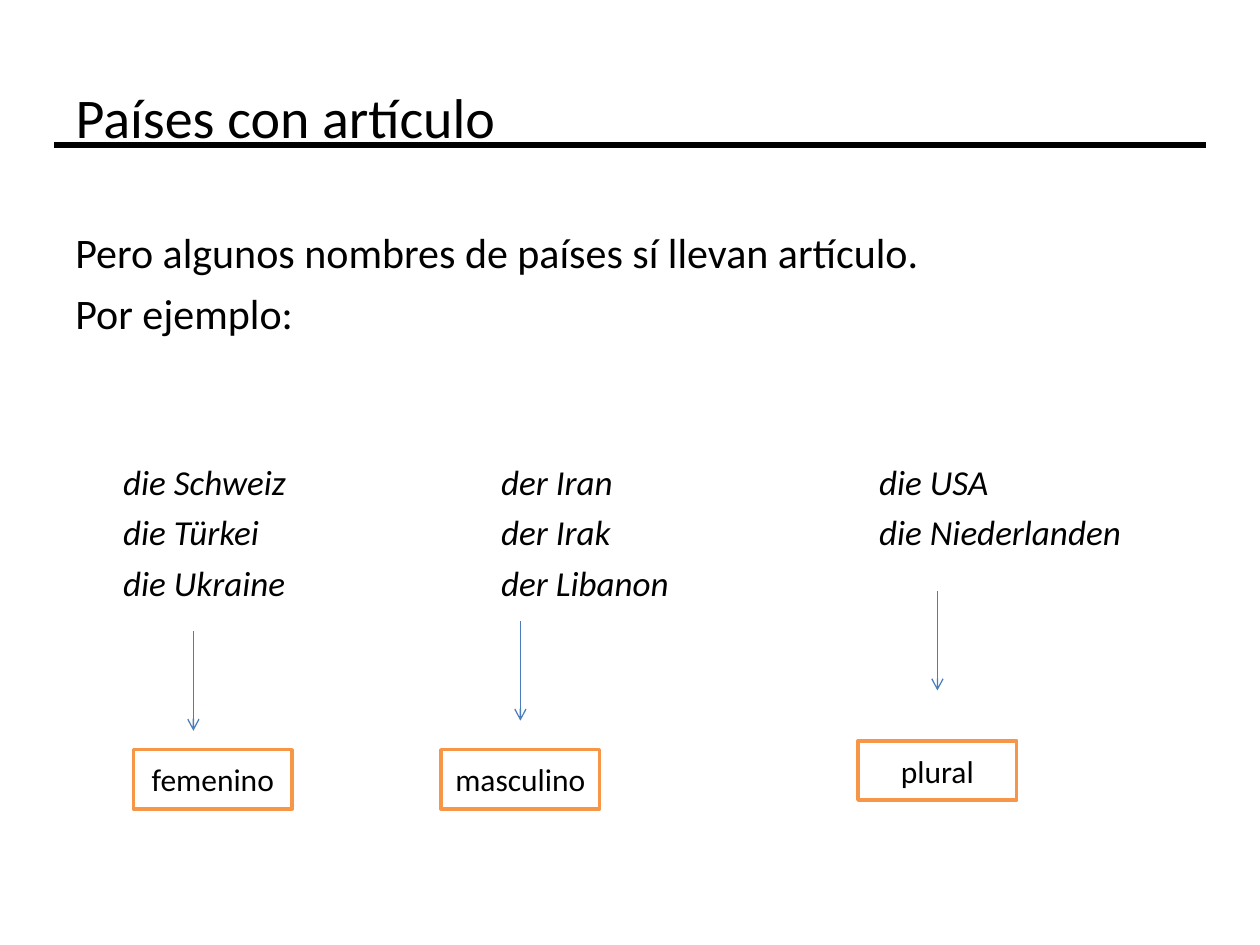
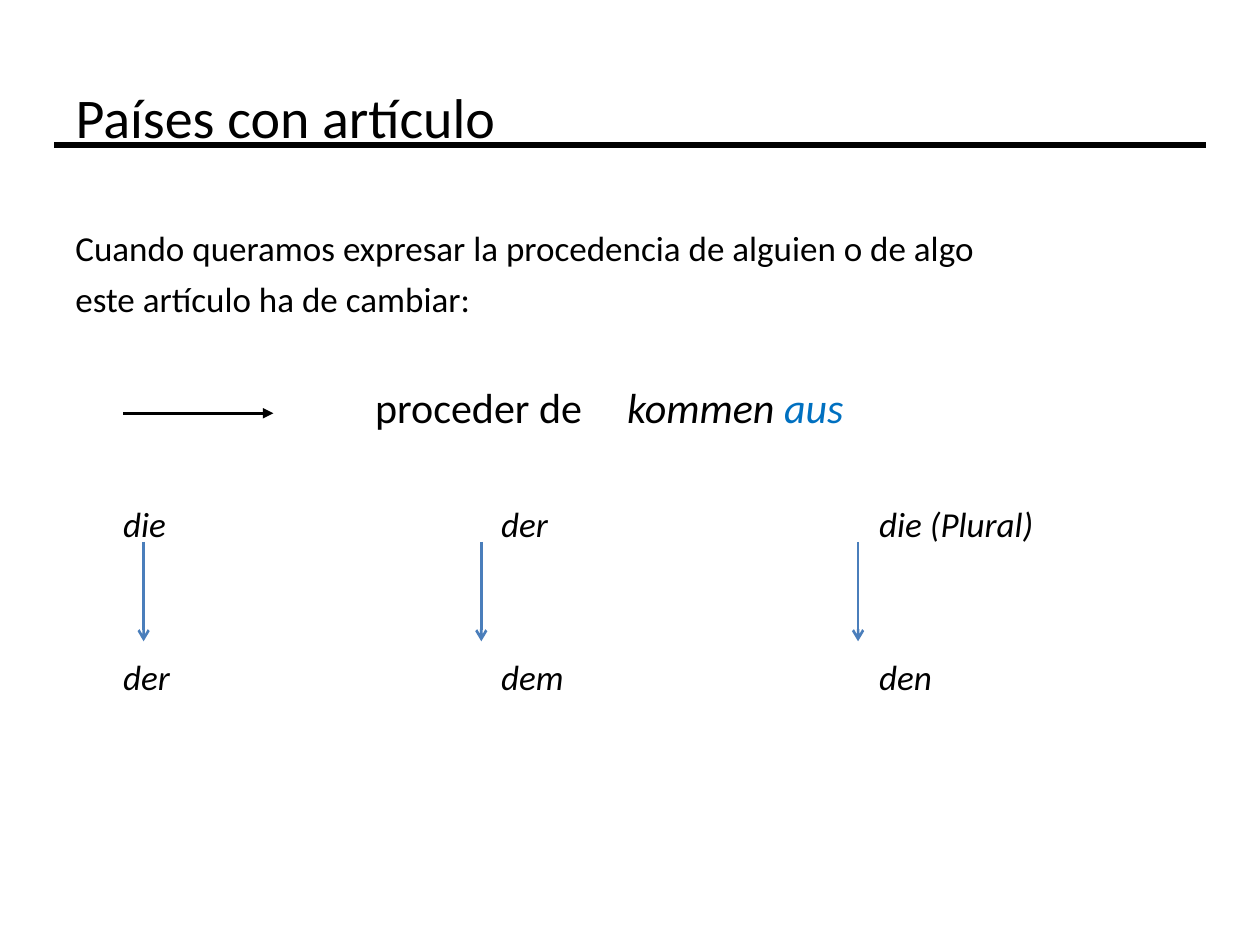
from lxml.etree import SubElement
from pptx import Presentation
from pptx.dml.color import RGBColor
from pptx.enum.shapes import MSO_CONNECTOR, MSO_SHAPE
from pptx.enum.text import MSO_ANCHOR, PP_ALIGN
from pptx.oxml.ns import qn
from pptx.util import Inches, Pt

HUES = {"ink": "000000", "paper": "FFFFFF", "blue": "4A7EBB",
        "box": "F79646", "mark": "0070C0"}
FONT = "Calibri"
COLS, ROWS = 100, 75
STOPS = (0.38, 2.38, 3.38, 4.38, 6.38)  # tab stops, inches
DROP = 7.9  # length of a downward arrow, in rows


def hue(name):
    return RGBColor.from_string(HUES[name])


class Deck:
    def __init__(self):
        self.prs = Presentation()
        self.prs.slide_width, self.prs.slide_height = Inches(10), Inches(7.5)
        self.slide = None

    def grid(self, *spots):
        """Turn alternating columns and rows into slide lengths."""
        units = (self.prs.slide_width / COLS, self.prs.slide_height / ROWS)
        return [round(n * units[i % 2]) for i, n in enumerate(spots)]

    def run(self, para, text, color="ink", **style):
        run = para.add_run()
        run.text = text
        run.font.color.rgb = hue(color)
        for key, val in {"name": FONT, **style}.items():
            setattr(run.font, key, val)

    def page(self, title):
        self.slide = self.prs.slides.add_slide(self.prs.slide_layouts[5])
        head = self.slide.shapes.title
        spots = self.grid(5, 3, 90, 12.5)
        for key, val in zip(("left", "top", "width", "height"), spots):
            setattr(head, key, val)
        head.text_frame.vertical_anchor = MSO_ANCHOR.MIDDLE
        para = head.text_frame.paragraphs[0]
        para.alignment = PP_ALIGN.LEFT
        self.run(para, title, size=Pt(32))
        self.line(4.3, 11.5, 95.7, 11.5, "ink", 3)

    def body(self, paras):
        """Each paragraph is (space before, size, [(text, format), ...])."""
        box = self.slide.shapes.add_textbox(*self.grid(5, 17.5, 90, 49.5))
        frame = box.text_frame
        frame.word_wrap = True
        for i, (gap, size, runs) in enumerate(paras):
            para = frame.add_paragraph() if i else frame.paragraphs[0]
            para.space_before = Pt(gap)
            tabs = SubElement(para._p.get_or_add_pPr(), qn("a:tabLst"))
            for stop in STOPS:
                SubElement(tabs, qn("a:tab"), pos=str(Inches(stop)), algn="l")
            for text, style in runs:
                self.run(para, text, size=Pt(size), **style)

    def line(self, x1, y1, x2, y2, color, width, tip=None):
        line = self.slide.shapes.add_connector(
            MSO_CONNECTOR.STRAIGHT, *self.grid(x1, y1, x2, y2))
        line.line.color.rgb = hue(color)
        line.line.width = Pt(width)
        if tip:
            SubElement(line.line._get_or_add_ln(), qn("a:tailEnd"), type=tip)
        SubElement(line._element.spPr, qn("a:effectLst"))

    def drop(self, x, y, width):
        self.line(x, y, x, y + DROP, "blue", width, "arrow")

    def label(self, x, y, text):
        box = self.slide.shapes.add_shape(
            MSO_SHAPE.RECTANGLE, *self.grid(x, y, 12.6, 4.7))
        box.shadow.inherit = False
        box.fill.solid()
        box.fill.fore_color.rgb = hue("paper")
        box.line.color.rgb = hue("box")
        box.line.width = Pt(2)
        box.text_frame.vertical_anchor = MSO_ANCHOR.MIDDLE
        para = box.text_frame.paragraphs[0]
        para.alignment = PP_ALIGN.CENTER
        self.run(para, text, size=Pt(18))


PLAIN, SLANT = {}, {"italic": True}
TITLE = "Países con artículo"


def row(gap, *cells):
    """One line of cells, three inches apart."""
    return gap, 20, [("\t" + "\t\t".join(cells[:2])
                      + "".join("\t\t" + c for c in cells[2:]), SLANT)]


def genders(deck):
    deck.page(TITLE)
    deck.body([
        (6, 24, [("Pero algunos nombres de países sí llevan artículo.", PLAIN)]),
        (6, 24, [("Por ejemplo:", PLAIN)]),
        row(69.7, "die Schweiz", "der Iran", "die USA"),
        row(5, "die Türkei", "der Irak", "die Niederlanden"),
        row(5, "die Ukraine", "der Libanon"),
    ])
    # Arrow from each column to its gender
    for text, x, y, left, top in (("femenino", 15.35, 50.1, 10.6, 59.5),
                                  ("masculino", 41.3, 49.3, 35, 59.5),
                                  ("plural", 74.4, 46.9, 68.1, 58.8)):
        deck.drop(x, y, 0.75)
        deck.label(left, top, text)


def origin(deck):
    deck.page(TITLE)
    deck.body([
        (5, 20, [("Cuando queramos expresar la procedencia de alguien o de algo",
                  PLAIN)]),
        (5, 20, [("este artículo ha de cambiar:", PLAIN)]),
        (35.3, 24, [("\t\tproceder de\t", PLAIN), ("kommen ", SLANT),
                    ("aus", {"color": "mark", **SLANT})]),
        row(40.3, "die", "der", "die (Plural)"),
        row(63.5, "der", "dem", "den"),
    ])
    # Change of each article
    for x in (11.4, 38.2, 68.1):
        deck.drop(x, 43, 1.5)
    deck.line(9.8, 32.8, 21.7, 32.8, "ink", 2, "triangle")


def main():
    deck = Deck()
    genders(deck)
    origin(deck)
    deck.prs.save("out.pptx")


if __name__ == "__main__":
    main()
